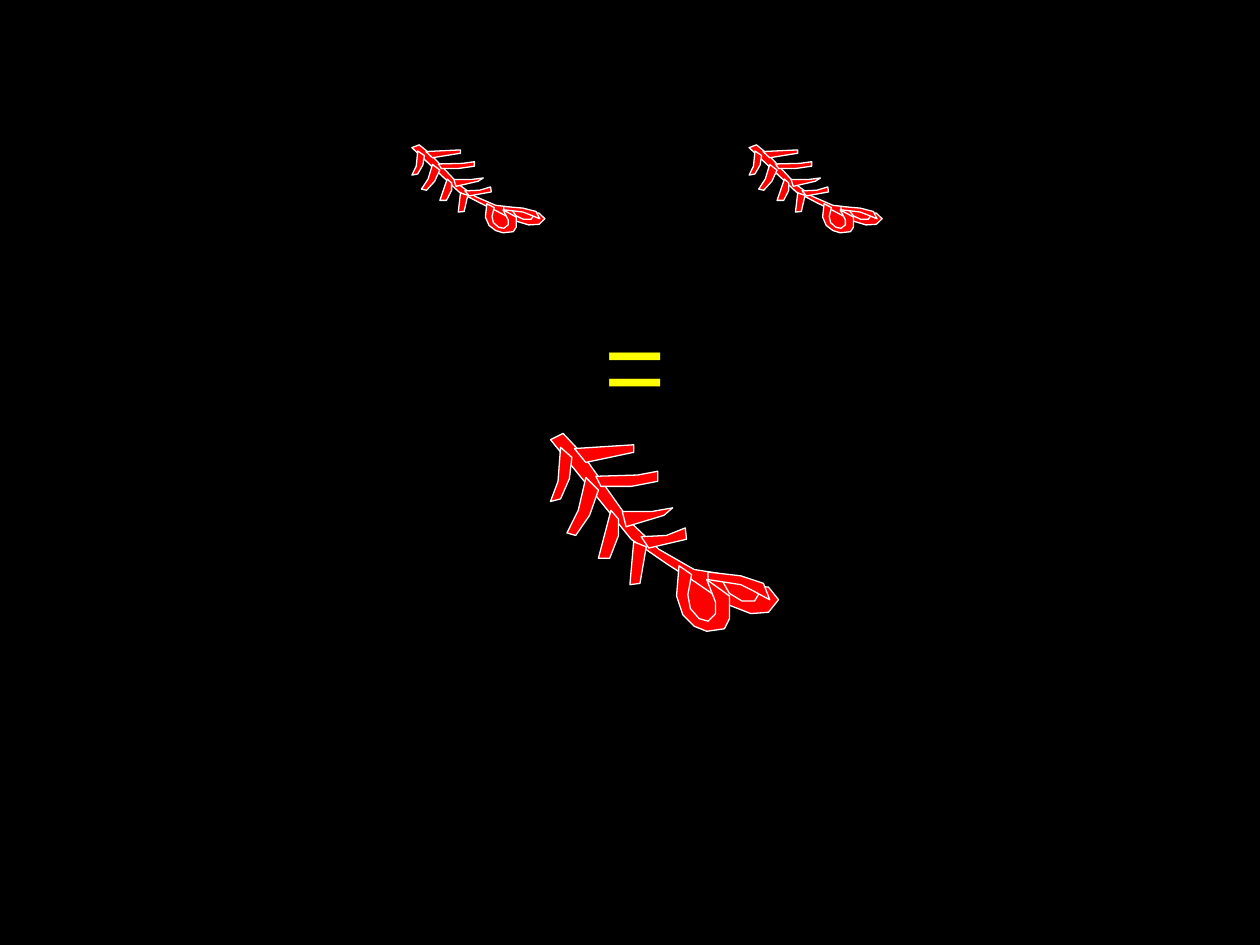
from pptx import Presentation
from pptx.dml.color import RGBColor as Rgb
from pptx.enum.text import MSO_ANCHOR as Anchor, PP_ALIGN as Align
from pptx.util import Pt

THEME = {
    "back": Rgb(0, 0, 0),
    "leaf": Rgb(255, 0, 0),
    "edge": Rgb(255, 255, 255),
    "sign": Rgb(255, 255, 0),
    "font": "Arial",
    "size": 60,
    "line": 0.75,
}

# Outlines of one twig, from back to front, on a grid with its corner at 0, 0
TWIG = [
    # rear petal, stem
    [(106, 108), (106, 134), (114, 151), (130, 152), (139, 137), (144, 134),
     (166, 135), (170, 127), (159, 119), (123, 114)],
    [(0, 5), (64, 84), (93, 104), (115, 118), (141, 136), (159, 143),
     (173, 142), (181, 132), (173, 122), (161, 121), (165, 128), (162, 133),
     (152, 133), (142, 127), (133, 111), (114, 108), (86, 92), (64, 71),
     (25, 16), (10, 0)],
    # leaves
    [(19, 12), (66, 9), (66, 15), (28, 23)],
    [(8, 11), (6, 38), (0, 54), (8, 52), (15, 36), (17, 19)],
    [(28, 35), (22, 61), (13, 79), (20, 81), (31, 65), (38, 45)],
    [(36, 34), (69, 33), (85, 30), (85, 38), (64, 42), (40, 42)],
    [(48, 61), (38, 99), (47, 99), (54, 81), (54, 68)],
    [(57, 62), (80, 62), (97, 59), (90, 65), (60, 74)],
    [(72, 82), (92, 81), (107, 75), (108, 84), (78, 91)],
    [(66, 86), (63, 120), (71, 119), (76, 90)],
    # front petals
    [(125, 116), (151, 120), (161, 125), (174, 132), (169, 119), (151, 113),
     (125, 110)],
    [(102, 105), (100, 129), (105, 144), (114, 153), (124, 157), (138, 155),
     (142, 147), (142, 129), (124, 116), (131, 134), (131, 143), (125, 149),
     (118, 147), (111, 139), (109, 128), (112, 112)],
]

# Left, top, points per grid unit across and down
SMALL = (0.42, 0.32)
LARGE = (0.72, 0.72)
PLACES = [
    (235.4, 82.8, SMALL),
    (428.1, 82.8, SMALL),
    (314.6, 247.7, LARGE),
]
SIGN = ("=", (314.6, 162, 96.5, 79.2))


def draw_twig(slide, left, top, scale):
    group = slide.shapes.add_group_shape()
    step = tuple(Pt(s) for s in scale)
    for first, *rest in TWIG:
        pen = group.shapes.build_freeform(*first, scale=step)
        pen.add_line_segments(rest, close=True)
        part = pen.convert_to_shape(Pt(left), Pt(top))
        part.shadow.inherit = False
        part.fill.solid()
        part.fill.fore_color.rgb = THEME["leaf"]
        part.line.color.rgb = THEME["edge"]
        part.line.width = Pt(THEME["line"])


def draw_sign(slide, text, area):
    frame = slide.shapes.add_textbox(*map(Pt, area)).text_frame
    frame.word_wrap = True
    frame.vertical_anchor = Anchor.TOP
    frame.margin_top, frame.margin_bottom = Pt(9.4), Pt(0)
    para = frame.paragraphs[0]
    para.alignment = Align.CENTER
    run = para.add_run()
    run.text = text
    run.font.name = THEME["font"]
    run.font.size = Pt(THEME["size"])
    run.font.color.rgb = THEME["sign"]


def main():
    deck = Presentation()
    deck.slide_width, deck.slide_height = Pt(720), Pt(540)
    slide = deck.slides.add_slide(deck.slide_layouts[6])
    slide.background.fill.solid()
    slide.background.fill.fore_color.rgb = THEME["back"]

    # Two small twigs equal one large twig
    for place in PLACES:
        draw_twig(slide, *place)
    draw_sign(slide, *SIGN)
    deck.save("out.pptx")


if __name__ == "__main__":
    main()
